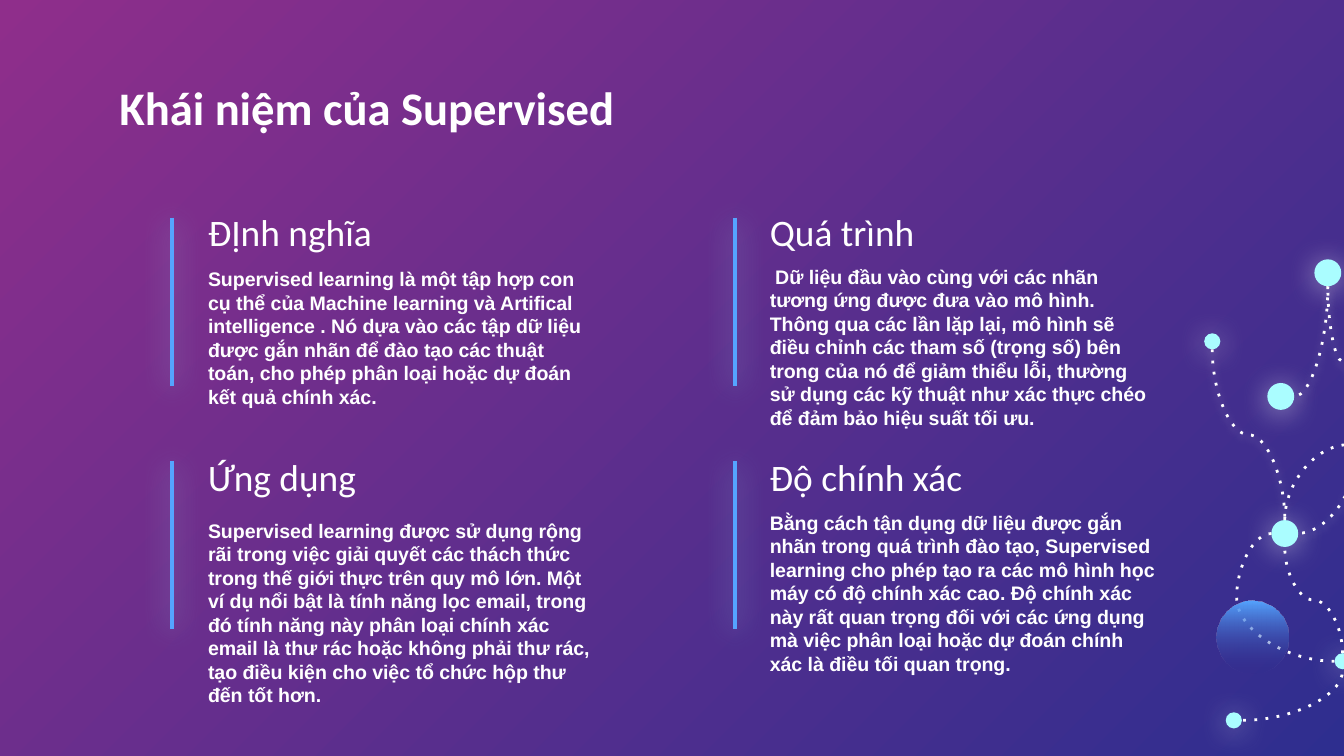
from typing import NamedTuple

from lxml import etree
from pptx import Presentation
from pptx import util as u
from pptx.dml.color import RGBColor
from pptx.enum import shapes, text
from pptx.oxml.ns import qn

WIDTH = 10
HEIGHT = WIDTH * 9 / 16
WHITE, BLUE, AQUA = "FFFFFF", "55A4FF", "AAFDFF"
PURPLE, NAVY = "8F2E8B", "2E2E8F"

# The grid of topics: first cell and the steps between columns and rows
LEFT, TOP = 1.45, 1.58
COLUMN_STEP, ROW_STEP = 4.18, 1.82
TEXT_WIDTH, HEADING_HEIGHT, BODY_HEIGHT = 3.07, 0.41, 1.04
BAR_LEFT, BAR_TOP, BAR_LENGTH = 1.28, 1.62, 1.25
BAR_COLUMN_STEP, BAR_ROW_STEP = 4.19, 1.81


class Topic(NamedTuple):
    column: int
    row: int
    heading: str
    body: str
    body_drop: float


class Node(NamedTuple):
    x: float
    y: float
    radius: float


class Link(NamedTuple):
    start: tuple[float, float]
    end: tuple[float, float]
    bends: int = 3
    vertical: bool = True
    glowing: bool = False
    bend_share: float = 0.5


TOPICS = [
    Topic(0, 0, "ĐỊnh nghĩa",
          "Supervised learning là một tập hợp con cụ thể của Machine learning và "
          "Artifical intelligence . Nó dựa vào các tập dữ liệu được gắn nhãn để đào "
          "tạo các thuật toán, cho phép phân loại hoặc dự đoán kết quả chính xác.", 0.31),
    Topic(1, 0, "Quá trình",
          " Dữ liệu đầu vào cùng với các nhãn tương ứng được đưa vào mô hình. Thông "
          "qua các lần lặp lại, mô hình sẽ điều chỉnh các tham số (trọng số) bên trong "
          "của nó để giảm thiểu lỗi, thường sử dụng các kỹ thuật như xác thực chéo để "
          "đảm bảo hiệu suất tối ưu.", 0.29),
    Topic(0, 1, "Ứng dụng",
          "Supervised learning được sử dụng rộng rãi trong việc giải quyết các thách "
          "thức trong thế giới thực trên quy mô lớn. Một ví dụ nổi bật là tính năng lọc "
          "email, trong đó tính năng này phân loại chính xác email là thư rác hoặc không "
          "phải thư rác, tạo điều kiện cho việc tổ chức hộp thư đến tốt hơn.", 0.36),
    Topic(1, 1, "Độ chính xác",
          "Bằng cách tận dụng dữ liệu được gắn nhãn trong quá trình đào tạo, Supervised "
          "learning cho phép tạo ra các mô hình học máy có độ chính xác cao. Độ chính xác "
          "này rất quan trọng đối với các ứng dụng mà việc phân loại hoặc dự đoán chính "
          "xác là điều tối quan trọng.", 0.3),
]

NODES = [
    Node(9.53, 2.95, 0.1), Node(9.56, 3.97, 0.1), Node(9.02, 2.54, 0.06),
    Node(9.88, 2.03, 0.1), Node(9.99, 4.92, 0.06), Node(9.18, 5.36, 0.06),
]

LINKS = [
    Link((9.56, 3.87), (10.03, 3.31), bends=2),
    Link((9.02, 2.6), (9.56, 3.87), glowing=True),
    Link((10.09, 3.24), (9.88, 2.13), glowing=True),
    Link((10.09, 3.37), (9.65, 3.97), bends=2, glowing=True),
    Link((9.88, 2.13), (9.63, 2.95), bends=2, glowing=True),
    Link((9.46, 3.97), (9.93, 4.92), vertical=False, bend_share=-0.55),
    Link((9.25, 5.36), (9.99, 4.99), bends=2, vertical=False),
    Link((9.99, 4.86), (9.56, 4.07)),
]


def color(hex_code: str) -> RGBColor:
    return RGBColor.from_string(hex_code)


def set_effects(shape, glow: str = "", blur: float = 15.8) -> None:
    """Give a soft shadow of the glow colour, or no effect; call after fill and line."""
    effects = etree.SubElement(shape._element.spPr, qn("a:effectLst"))
    if glow:
        shadow = etree.SubElement(effects, qn("a:outerShdw"), blurRad=str(u.Pt(blur)),
                                  dist=str(u.Pt(1.5)), dir="5400000",
                                  algn="bl", rotWithShape="0")
        tint = etree.SubElement(shadow, qn("a:srgbClr"), val=glow)
        etree.SubElement(tint, qn("a:alpha"), val="50000")


def set_gradient(fill, first: str, last: str, angle: float) -> None:
    fill.gradient()
    fill.gradient_angle = angle
    for stop, hex_code, place in zip(fill.gradient_stops, (first, last), (0, 1)):
        stop.color.rgb = color(hex_code)
        stop.position = place


def add_circle(canvas, node: Node):
    side = u.Inches(2 * node.radius)
    circle = canvas.add_shape(shapes.MSO_SHAPE.OVAL, u.Inches(node.x - node.radius),
                              u.Inches(node.y - node.radius), side, side)
    circle.line.fill.background()
    return circle


def add_node(canvas, node: Node) -> None:
    circle = add_circle(canvas, node)
    circle.fill.solid()
    circle.fill.fore_color.rgb = color(AQUA)
    set_effects(circle, WHITE)


def add_fading_ball(canvas, ball: Node) -> None:
    circle = add_circle(canvas, ball)
    set_gradient(circle.fill, BLUE, NAVY, 270)
    last_tint = circle._element.spPr.findall(".//" + qn("a:srgbClr"))[-1]
    etree.SubElement(last_tint, qn("a:alpha"), val="0")
    set_effects(circle)


def add_link(canvas, link: Link) -> None:
    """Draw a dotted curve; one that leaves vertically is laid flat and turned by 90°."""
    (x1, y1), (x2, y2) = link.start, link.end
    dx, dy = x2 - x1, y2 - y1
    run, rise = (dy, -dx) if link.vertical else (dx, dy)
    mid_x, mid_y = (x1 + x2) / 2, (y1 + y2) / 2
    curve = canvas.add_connector(
        shapes.MSO_CONNECTOR.CURVE,
        u.Inches(mid_x - run / 2), u.Inches(mid_y - rise / 2),
        u.Inches(mid_x + run / 2), u.Inches(mid_y + rise / 2))
    properties = curve._element.spPr
    if link.vertical:
        properties.find(qn("a:xfrm")).set("rot", "5400000")
    geometry = properties.find(qn("a:prstGeom"))
    geometry.set("prst", f"curvedConnector{link.bends}")
    if link.bends == 3:
        etree.SubElement(geometry.find(qn("a:avLst")), qn("a:gd"), name="adj1",
                         fmla=f"val {round(link.bend_share * 100000)}")
    curve.line.color.rgb = color(WHITE)
    curve.line.width = u.Pt(1.5)
    etree.SubElement(properties.find(qn("a:ln")), qn("a:prstDash"), val="dot")
    set_effects(curve, WHITE if link.glowing else "", blur=4.5)


def add_bar(canvas, column: int, row: int) -> None:
    x = BAR_LEFT + column * BAR_COLUMN_STEP
    y = BAR_TOP + row * BAR_ROW_STEP
    bar = canvas.add_connector(shapes.MSO_CONNECTOR.STRAIGHT, u.Inches(x), u.Inches(y),
                               u.Inches(x), u.Inches(y + BAR_LENGTH))
    bar.line.color.rgb = color(BLUE)
    bar.line.width = u.Pt(2.25)
    set_effects(bar, AQUA)


def add_text(canvas, words: str, x: float, y: float, width: float, height: float,
             size: float, font: str, bold: bool = True,
             anchor=text.MSO_ANCHOR.TOP) -> None:
    frame = canvas.add_textbox(u.Inches(x), u.Inches(y),
                               u.Inches(width), u.Inches(height)).text_frame
    frame.word_wrap = True
    frame.vertical_anchor = anchor
    frame.margin_left = frame.margin_right = u.Inches(0.1)
    frame.margin_top = frame.margin_bottom = u.Inches(0.1)
    frame.text = words
    style = frame.paragraphs[0].runs[0].font
    style.size, style.name, style.bold = u.Pt(size), font, bold
    style.color.rgb = color(WHITE)


def add_topic(canvas, topic: Topic) -> None:
    x = LEFT + topic.column * COLUMN_STEP
    y = TOP + topic.row * ROW_STEP
    add_text(canvas, topic.heading, x, y, TEXT_WIDTH, HEADING_HEIGHT, 20, "Calibri",
             bold=False, anchor=text.MSO_ANCHOR.BOTTOM)
    add_text(canvas, topic.body, x, y + topic.body_drop, TEXT_WIDTH, BODY_HEIGHT,
             10.5, "Arial")
    add_bar(canvas, topic.column, topic.row)


def main() -> None:
    deck = Presentation()
    deck.slide_width, deck.slide_height = u.Inches(WIDTH), u.Inches(HEIGHT)
    slide = deck.slides.add_slide(deck.slide_layouts[6])
    set_gradient(slide.background.fill, PURPLE, NAVY, 315)

    network = slide.shapes.add_group_shape().shapes
    for node in NODES:
        add_node(network, node)
    for link in LINKS:
        add_link(network, link)
    add_fading_ball(network, Node(9.32, 4.74, 0.27))

    add_text(slide.shapes, "Khái niệm của Supervised", 0.79, 0.49, 8.43, 0.63,
             25, "Calibri")
    for topic in TOPICS:
        add_topic(slide.shapes, topic)
    deck.save("out.pptx")


if __name__ == "__main__":
    main()
